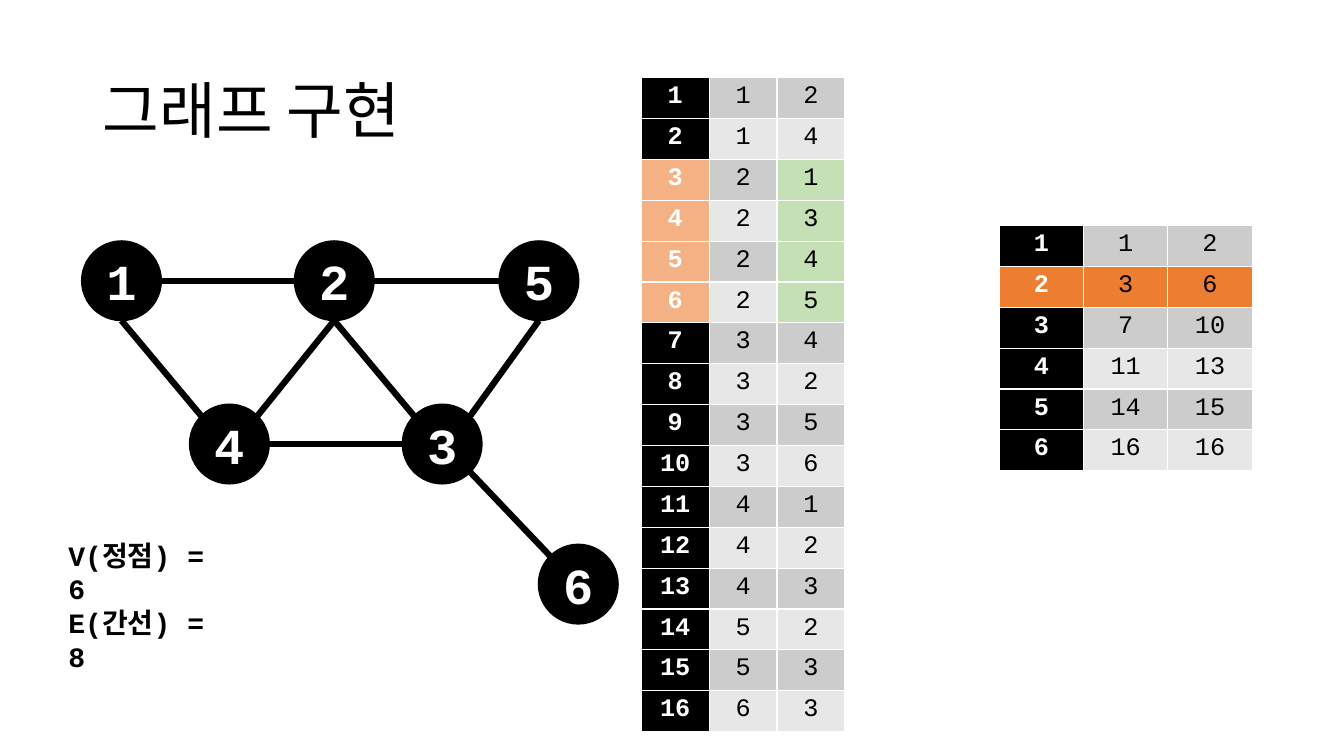
"""Build the slide that shows a graph, its edge list and its index ranges."""
import math
from dataclasses import dataclass
from itertools import accumulate

from lxml import etree
from pptx import Presentation
from pptx import util as u
from pptx.dml.color import RGBColor
from pptx.enum import shapes, text
from pptx.oxml import ns


@dataclass(frozen=True)
class Theme:
    font: str = "Courier New"
    ink: str = "000000"
    paper: str = "FFFFFF"
    bands: tuple = ("CCCCCC", "E7E7E7")
    index: str = "F4B183"
    neighbour: str = "C5E0B4"
    chosen: str = "ED7D31"
    title: int = 44
    node: int = 36
    count: int = 20
    cell: int = 18
    outline: float = 1
    edge: float = 4.5


class GraphSlide:
    def __init__(self, theme, slide):
        self.theme = theme
        self.shapes = slide.shapes

    def fill(self, target, color):
        target.fill.solid()
        target.fill.fore_color.rgb = RGBColor.from_string(color)

    def set_text(self, frame, words, size, color, bold=False,
                 align=text.PP_ALIGN.LEFT, spacing=1):
        frame.text = words
        for paragraph in frame.paragraphs:
            paragraph.alignment = align
            paragraph.line_spacing = spacing
            for run in paragraph.runs:
                run.font.name = self.theme.font
                run.font.size = u.Pt(size)
                run.font.bold = bold
                run.font.color.rgb = RGBColor.from_string(color)

    def label(self, box, words, size, bold=False, anchor=text.MSO_ANCHOR.TOP, spacing=1):
        frame = self.shapes.add_textbox(*map(u.Inches, box)).text_frame
        frame.word_wrap = True
        frame.vertical_anchor = anchor
        self.set_text(frame, words, size, self.theme.ink, bold, spacing=spacing)

    def node(self, name, left, top, size):
        circle = self.shapes.add_shape(
            shapes.MSO_SHAPE.OVAL, *map(u.Inches, (left, top, size, size)))
        circle.shadow.inherit = False
        self.fill(circle, self.theme.ink)
        self.fill(circle.line, self.theme.ink)
        circle.line.width = u.Pt(self.theme.outline)
        circle.text_frame.vertical_anchor = text.MSO_ANCHOR.MIDDLE
        self.set_text(circle.text_frame, str(name), self.theme.node, self.theme.paper,
                      True, text.PP_ALIGN.CENTER)

    def edge(self, start, end):
        line = self.shapes.add_connector(
            shapes.MSO_CONNECTOR.STRAIGHT, *map(u.Inches, start + end))
        self.fill(line.line, self.theme.ink)
        line.line.width = u.Pt(self.theme.edge)
        etree.SubElement(line._element.spPr, ns.qn("a:effectLst"))

    def border(self, cell):
        properties = cell._tc.get_or_add_tcPr()
        for side in ("lnL", "lnR", "lnT", "lnB"):
            line = etree.SubElement(properties, ns.qn("a:" + side),
                                    w=str(u.Pt(self.theme.outline)))
            solid = etree.SubElement(line, ns.qn("a:solidFill"))
            etree.SubElement(solid, ns.qn("a:srgbClr"), val=self.theme.paper)

    def table(self, box, pairs, highlights):
        grid = self.shapes.add_table(len(pairs), 3, *map(u.Inches, box)).table
        grid.first_row = grid.horz_banding = False
        for number, pair in enumerate(pairs, 1):
            band = self.theme.bands[(number - 1) % 2]
            colors = highlights.get(number, (self.theme.ink, None, None))
            for column, value in enumerate((number, *pair)):
                cell = grid.cell(number - 1, column)
                is_index = column == 0
                self.border(cell)
                self.fill(cell, colors[column] or band)
                self.set_text(cell.text_frame, str(value), self.theme.cell,
                              self.theme.paper if is_index else self.theme.ink,
                              is_index, text.PP_ALIGN.CENTER)


NODE_SIZE = 0.79
NODES = {1: (0.81, 2.39), 2: (2.92, 2.39), 4: (1.88, 4.01),
         3: (3.99, 4.01), 5: (4.95, 2.39), 6: (5.34, 5.4)}
TOP, TOP_LEFT, LEFT, BOTTOM_LEFT, BOTTOM, BOTTOM_RIGHT, RIGHT, TOP_RIGHT = range(8)
EDGES = [((1, RIGHT), (2, LEFT)), ((1, BOTTOM), (4, TOP_LEFT)),
         ((4, TOP_RIGHT), (2, BOTTOM)), ((5, LEFT), (2, RIGHT)),
         ((3, TOP_LEFT), (2, BOTTOM)), ((3, TOP_RIGHT), (5, BOTTOM)),
         ((3, BOTTOM_RIGHT), (6, TOP_LEFT)), ((3, LEFT), (4, RIGHT))]
NEIGHBOURS = {1: (2, 4), 2: (1, 3, 4, 5), 3: (4, 2, 5, 6),
              4: (1, 2, 3), 5: (2, 3), 6: (3,)}
CHOSEN_NODE = 2


def site(name, side):
    left, top = NODES[name]
    radius = NODE_SIZE / 2
    angle = side * math.pi / 4
    return (left + radius * (1 - math.sin(angle)), top + radius * (1 - math.cos(angle)))


deck = Presentation()
deck.slide_width, deck.slide_height = u.Inches(13.33), u.Inches(7.5)
theme = Theme()
page = GraphSlide(theme, deck.slides.add_slide(deck.slide_layouts[6]))

page.label((0.92, 0.4, 11.5, 1.45), "그래프 구현", theme.title,
           anchor=text.MSO_ANCHOR.MIDDLE, spacing=0.9)
for name, (left, top) in NODES.items():
    page.node(name, left, top, NODE_SIZE)
for start, end in EDGES:
    page.edge(site(*start), site(*end))
page.label((0.58, 5.29, 1.71, 0.77),
           f"V(정점) = {len(NODES)}\nE(간선) = {len(EDGES)}", theme.count, bold=True)

edge_list = [(name, other) for name, others in NEIGHBOURS.items() for other in others]
last_rows = list(accumulate(len(others) for others in NEIGHBOURS.values()))
first_rows = [1] + [last + 1 for last in last_rows[:-1]]
ranges = list(zip(first_rows, last_rows))
first, last = ranges[CHOSEN_NODE - 1]

page.table((6.36, 0.77, 2.02, 6.49), edge_list,
           {row: (theme.index, None, theme.neighbour) for row in range(first, last + 1)})
page.table((9.91, 2.24, 2.51, 2.43), ranges, {CHOSEN_NODE: (theme.chosen,) * 3})

deck.save("out.pptx")
